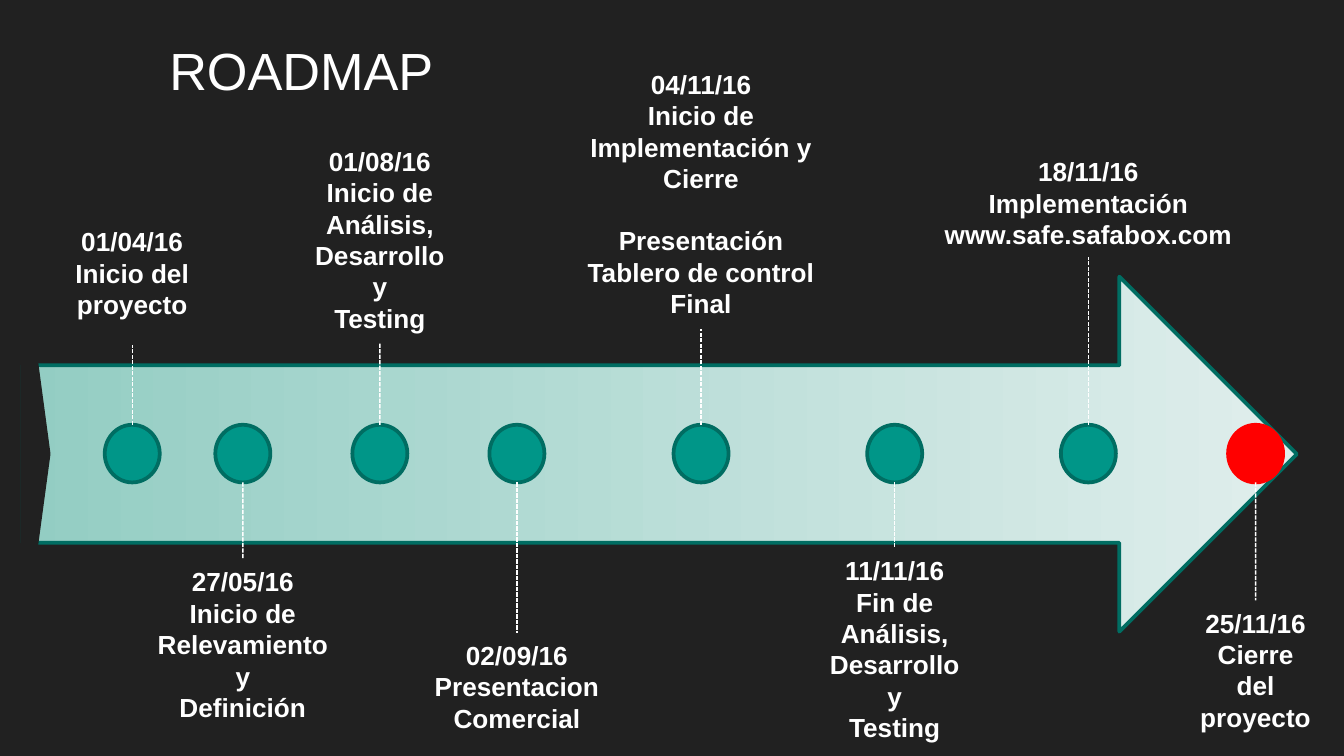
from lxml.etree import SubElement
from pptx import Presentation
from pptx.dml.color import RGBColor
from pptx.enum.dml import MSO_LINE
from pptx.enum.shapes import MSO_CONNECTOR, MSO_SHAPE
from pptx.enum.text import PP_ALIGN
from pptx.oxml.ns import qn
from pptx.util import Cm, Pt

DARK, WHITE, TEAL, EDGE, RED = "212121", "FFFFFF", "009688", "006D62", "FF0000"
FADE = ["93CDC3", "E0EEEC"]
DOT_W, DOT_H, DOT_TOP = 1.04, 1.09, 8.03

# centre, label top, label width, label height, dot fill, dot edge, paragraphs (\v breaks a line)
STEPS = [
    (2.5, 4.14, 5.66, 2.39, TEAL, EDGE, ["01/04/16\vInicio del\vproyecto"]),
    (4.59, 10.57, 5.66, 3.23, TEAL, EDGE,
     ["27/05/16\vInicio de\vRelevamiento\vy\vDefinición"]),
    (7.18, 2.62, 5.66, 3.86, TEAL, EDGE,
     ["01/08/16\vInicio de\vAnálisis,\vDesarrollo\vy\vTesting"]),
    (9.77, 11.96, 5.66, 2.03, TEAL, EDGE, ["02/09/16\vPresentacion Comercial"]),
    (13.25, 1.17, 5.66, 5.05, TEAL, EDGE,
     ["04/11/16", "Inicio de Implementación y Cierre",
      "Presentación\vTablero de control\vFinal"]),
    (16.91, 10.36, 5.66, 3.81, TEAL, EDGE,
     ["11/11/16\vFin de\vAnálisis,\vDesarrollo\vy\vTesting"]),
    (20.57, 2.82, 6, 2.03, TEAL, EDGE,
     ["18/11/16\vImplementación\vwww.safe.safabox.com"]),
    (23.73, 11.35, 5.66, 2.64, RED, RED, ["25/11/16\vCierre\vdel\vproyecto"]),
]
NOTCH = [(0.43, 6.86), (0.69, 6.86), (0.92, 8.58), (0.69, 10.29), (0.43, 10.29)]


def rgb(code):
    return RGBColor.from_string(code)


def edge(shape, color, width=2):
    shape.line.color.rgb = rgb(color)
    shape.line.width = Pt(width)


def paint(shape, fill, line):
    shape.shadow.inherit = False
    shape.fill.solid()
    shape.fill.fore_color.rgb = rgb(fill)
    edge(shape, line)


def write(slide, place, paras, size, bold=False, align=PP_ALIGN.LEFT):
    box = slide.shapes.add_textbox(*map(Cm, place))
    frame = box.text_frame
    frame.word_wrap = True
    frame.text = "\n".join(paras)
    for para in frame.paragraphs:
        para.alignment = align
        for run in para.runs:
            font = run.font
            font.name, font.size, font.bold = "Arial", Pt(size), bold
            font.color.rgb = rgb(WHITE)
    return box


def draw_arrow(slide):
    arrow = slide.shapes.add_shape(
        MSO_SHAPE.RIGHT_ARROW, Cm(0.43), Cm(5.23), Cm(24.08), Cm(6.71))
    arrow.shadow.inherit = False
    arrow.fill.gradient()
    arrow.fill.gradient_angle = 0
    for stop, color in zip(arrow.fill.gradient_stops, FADE):
        stop.color.rgb = rgb(color)
    edge(arrow, EDGE)

    points = [(Cm(x), Cm(y)) for x, y in NOTCH]
    form = slide.shapes.build_freeform(*points[0])
    form.add_line_segments(points[1:])
    paint(form.convert_to_shape(), DARK, DARK)


def draw_step(slide, mid, top, width, height, fill, line, paras):
    dot = slide.shapes.add_shape(
        MSO_SHAPE.OVAL, Cm(mid - DOT_W / 2), Cm(DOT_TOP), Cm(DOT_W), Cm(DOT_H))
    paint(dot, fill, line)
    label = write(slide, (mid - width / 2, top, width, height), paras, 14,
                  True, PP_ALIGN.CENTER)
    if len(paras) > 1:
        label.text_frame.paragraphs[-1].space_before = Pt(16.5)

    above = top < DOT_TOP
    start = DOT_TOP if above else DOT_TOP + DOT_H
    end = top + height if above else top
    link = slide.shapes.add_connector(
        MSO_CONNECTOR.STRAIGHT, Cm(mid), Cm(start), Cm(mid), Cm(end))
    link.end_connect(label, 2 if above else 0)
    edge(link, WHITE, 0.75)
    link.line.dash_style = MSO_LINE.SQUARE_DOT
    SubElement(link._element.spPr, qn("a:effectLst"))


def main():
    deck = Presentation()
    deck.slide_width, deck.slide_height = Cm(25.4), Cm(14.29)
    slide = deck.slides.add_slide(deck.slide_layouts[6])
    slide.background.fill.solid()
    slide.background.fill.fore_color.rgb = rgb(DARK)

    title = write(slide, (2.95, 0.48, 22.12, 1.6), ["ROADMAP"], 28)
    title.text_frame.margin_top = title.text_frame.margin_bottom = Cm(0.25)
    draw_arrow(slide)
    for step in STEPS:
        draw_step(slide, *step)
    deck.save("out.pptx")


if __name__ == "__main__":
    main()
